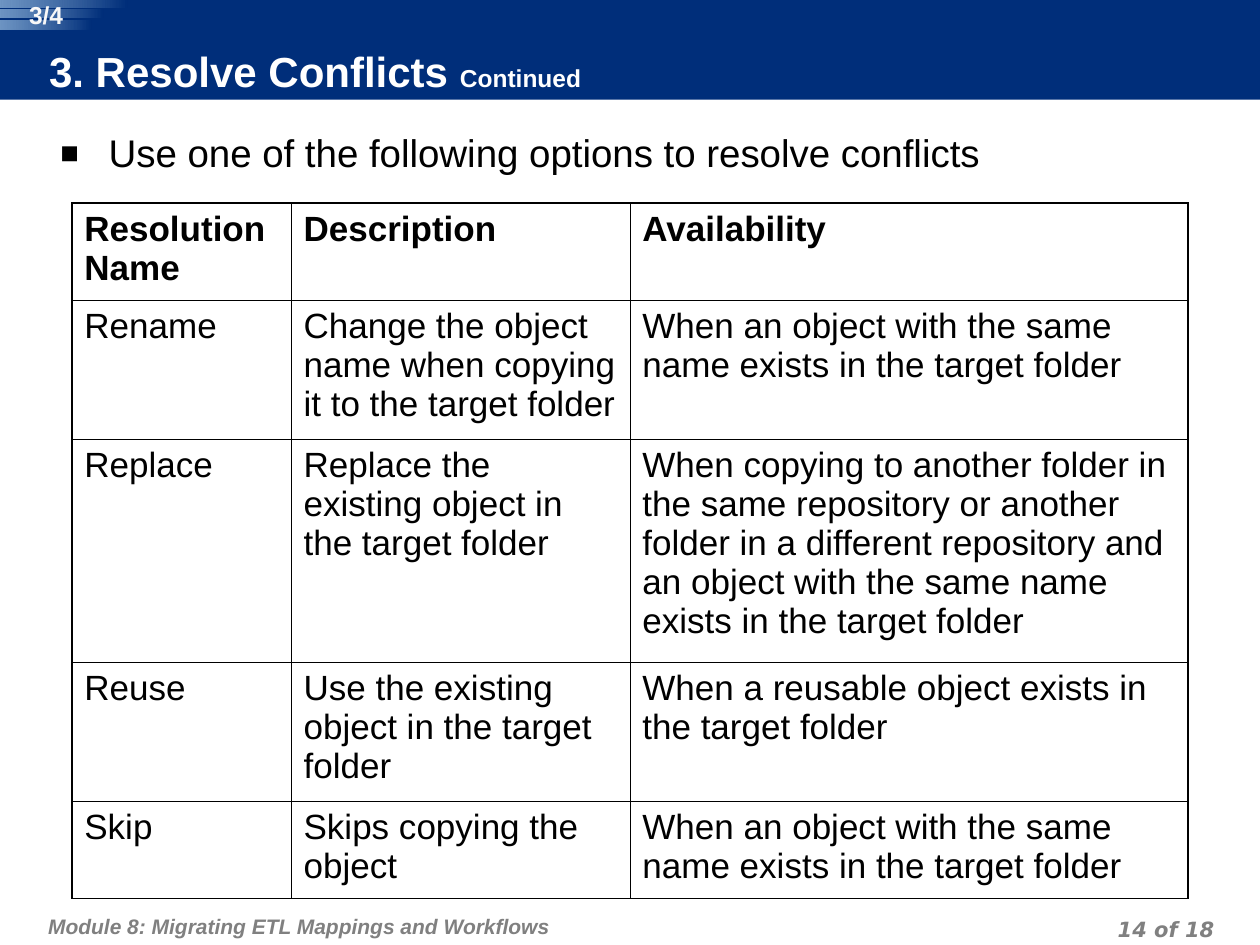
from dataclasses import dataclass

from lxml import etree
from pptx import Presentation
from pptx.dml.color import RGBColor
from pptx.enum.shapes import MSO_SHAPE
from pptx.enum.text import MSO_ANCHOR, MSO_AUTO_SIZE, PP_ALIGN
from pptx.oxml.ns import qn
from pptx.util import Cm, Pt

RECTANGLE = MSO_SHAPE.RECTANGLE
ROUNDED = MSO_SHAPE.ROUNDED_RECTANGLE
LEFT, CENTER, RIGHT = PP_ALIGN.LEFT, PP_ALIGN.CENTER, PP_ALIGN.RIGHT
MIDDLE = MSO_ANCHOR.MIDDLE
NO_FIT, GROW = MSO_AUTO_SIZE.NONE, MSO_AUTO_SIZE.SHAPE_TO_FIT_TEXT

NAVY, SKY, GRAY, BLACK = "002E7A", "90B5DA", "808080", "000000"
WHITE, PALE = "FFFFFF", "F8F8F8"
OUTER_LINE, INNER_LINE = 1.08, 0.45  # points


@dataclass
class Box:
    """Place and size in centimetres."""
    left: float
    top: float
    width: float
    height: float

    def lengths(self):
        return Cm(self.left), Cm(self.top), Cm(self.width), Cm(self.height)


@dataclass
class Style:
    size: float
    color: str
    bold: bool = False
    italic: bool = False
    font: str = "Arial"


STRIPS = [Box(0, 0, 2.57, 0.15), Box(0, 0.2, 2.08, 0.15), Box(0, 0.41, 1.85, 0.18)]
COLUMN_WIDTHS = [4.42, 6.83, 11.25]
ROW_HEIGHTS = [1.96, 2.79, 4.5, 2.79, 1.96]
ROWS = [
    ("Resolution Name", "Description", "Availability"),
    ("Rename", "Change the object name when copying it to the target folder",
     "When an object with the same name exists in the target folder"),
    ("Replace", "Replace the existing object in the target folder",
     "When copying to another folder in the same repository or another folder in a "
     "different repository and an object with the same name exists in the target folder"),
    ("Reuse", "Use the existing object in the target folder",
     "When a reusable object exists in the target folder"),
    ("Skip", "Skips copying the object",
     "When an object with the same name exists in the target folder"),
]


def rgb(color: str) -> RGBColor:
    return RGBColor.from_string(color)


def add_run(paragraph, text: str, style: Style) -> None:
    run = paragraph.add_run()
    run.text = text
    run.font.name = style.font
    run.font.size = Pt(style.size)
    run.font.bold = style.bold
    run.font.italic = style.italic
    run.font.color.rgb = rgb(style.color)


def set_margins(frame, left: float, top: float, right: float, bottom: float) -> None:
    frame.margin_left, frame.margin_top = Cm(left), Cm(top)
    frame.margin_right, frame.margin_bottom = Cm(right), Cm(bottom)


def add_text(shapes, box: Box, margins: tuple, alignment=LEFT, fit=GROW):
    """Add a wrapping text box and return its empty paragraph."""
    frame = shapes.add_textbox(*box.lengths()).text_frame
    frame.word_wrap = True
    frame.auto_size = fit
    set_margins(frame, *margins)
    paragraph = frame.paragraphs[0]
    paragraph.alignment = alignment
    return paragraph


def add_plain_shape(shapes, kind, box: Box):
    shape = shapes.add_shape(kind, *box.lengths())
    shape.shadow.inherit = False
    shape.line.fill.background()
    return shape


def add_strip(shapes, box: Box) -> None:
    """Add a bar that fades from sky blue at the left to navy."""
    strip = add_plain_shape(shapes, ROUNDED, box)
    strip.adjustments[0] = 0
    strip.fill.gradient()
    strip.fill.gradient_angle = 180
    for stop, color, position in zip(strip.fill.gradient_stops, (NAVY, SKY), (0, 1)):
        stop.color.rgb = rgb(color)
        stop.position = position
    sky = strip._element.spPr.findall(".//" + qn("a:srgbClr"))[-1]
    etree.SubElement(sky, qn("a:alpha"), val="76000")


def add_bullet(paragraph, indent: float) -> None:
    properties = paragraph._p.get_or_add_pPr()
    properties.set("marL", str(Cm(indent)))
    properties.set("indent", str(-Cm(indent)))
    color = etree.SubElement(properties, qn("a:buClr"))
    etree.SubElement(color, qn("a:srgbClr"), val=BLACK)
    etree.SubElement(properties, qn("a:buSzPct"), val="80000")
    etree.SubElement(properties, qn("a:buFont"), typeface="Arial")
    etree.SubElement(properties, qn("a:buChar"), char="■")


def set_borders(cell, widths: dict) -> None:
    properties = cell._tc.get_or_add_tcPr()
    for side, width in widths.items():
        line = etree.SubElement(properties, qn(f"a:ln{side}"), w=str(Pt(width)))
        fill = etree.SubElement(line, qn("a:solidFill"))
        etree.SubElement(fill, qn("a:srgbClr"), val=BLACK)


def add_options_table(shapes, box: Box) -> None:
    table = shapes.add_table(len(ROWS), len(COLUMN_WIDTHS), *box.lengths()).table
    table.first_row = table.horz_banding = False
    for column, width in zip(table.columns, COLUMN_WIDTHS):
        column.width = Cm(width)
    for row, height in zip(table.rows, ROW_HEIGHTS):
        row.height = Cm(height)
    last_row, last_column = len(ROWS) - 1, len(COLUMN_WIDTHS) - 1
    for row_index, texts in enumerate(ROWS):
        for column_index, text in enumerate(texts):
            cell = table.cell(row_index, column_index)
            on_edge = {"L": column_index == 0, "R": column_index == last_column,
                       "T": row_index == 0, "B": row_index == last_row}
            set_borders(cell, {side: OUTER_LINE if edge else INNER_LINE
                               for side, edge in on_edge.items()})
            cell.fill.background()
            set_margins(cell, 0.25, 0.13, 0.25, 0.13)
            add_run(cell.text_frame.paragraphs[0], text,
                    Style(20, BLACK, bold=row_index == 0))


def main() -> None:
    presentation = Presentation()
    presentation.slide_width, presentation.slide_height = Cm(25.4), Cm(19.05)
    slide = presentation.slides.add_slide(presentation.slide_layouts[5])
    shapes = slide.shapes

    # Title on its banner
    title = shapes.title
    banner = add_plain_shape(shapes, RECTANGLE, Box(0, 0, 25.4, 2.01))
    title._element.addprevious(banner._element)
    title.left, title.top, title.width, title.height = Box(0.99, 0.97, 19.99, 1.02).lengths()
    for shape in (banner, title):
        shape.fill.solid()
        shape.fill.fore_color.rgb = rgb(NAVY)
    frame = title.text_frame
    frame.auto_size = NO_FIT
    frame.vertical_anchor = MIDDLE
    set_margins(frame, 0, 0, 0.13, 0.13)
    frame.paragraphs[0].alignment = LEFT
    add_run(frame.paragraphs[0], "3. Resolve Conflicts ", Style(24, WHITE, bold=True))
    add_run(frame.paragraphs[0], "Continued", Style(14, WHITE, bold=True))

    # Footer and page number
    footer_style = Style(12, GRAY, bold=True, italic=True)
    footer = add_text(shapes, Box(0.84, 18.03, 15.7, 1.02), (0.13, 0.25, 0.13, 0.13))
    footer.line_spacing = Pt(18)
    add_run(footer, "Module 8: Migrating ETL Mappings and Workflows", footer_style)
    page = add_text(shapes, Box(18.69, 18.34, 5.92, 0.64), (0.13, 0, 0.13, 0), RIGHT)
    page.line_spacing = Pt(18)
    add_run(page, "14 of 18", Style(12, GRAY, True, True, "DejaVu Sans"))

    # Lead sentence and table
    lead = add_text(shapes, Box(0.97, 2.36, 23.62, 15.7), (0.25, 0.25, 0.25, 0.13), fit=NO_FIT)
    add_bullet(lead, 0.97)
    add_run(lead, "Use one of the following options to resolve conflicts", Style(22, BLACK))
    add_options_table(shapes, Box(1.45, 4.09, 22.5, 14))

    # Step marker in the corner
    marker = shapes.add_group_shape().shapes
    for strip in STRIPS:
        add_strip(marker, strip)
    step = add_text(marker, Box(0.28, 0, 1.3, 0.58), (0, 0, 0, 0), CENTER)
    add_run(step, "3/4", Style(14, PALE, bold=True))

    presentation.save("out.pptx")


if __name__ == "__main__":
    main()
